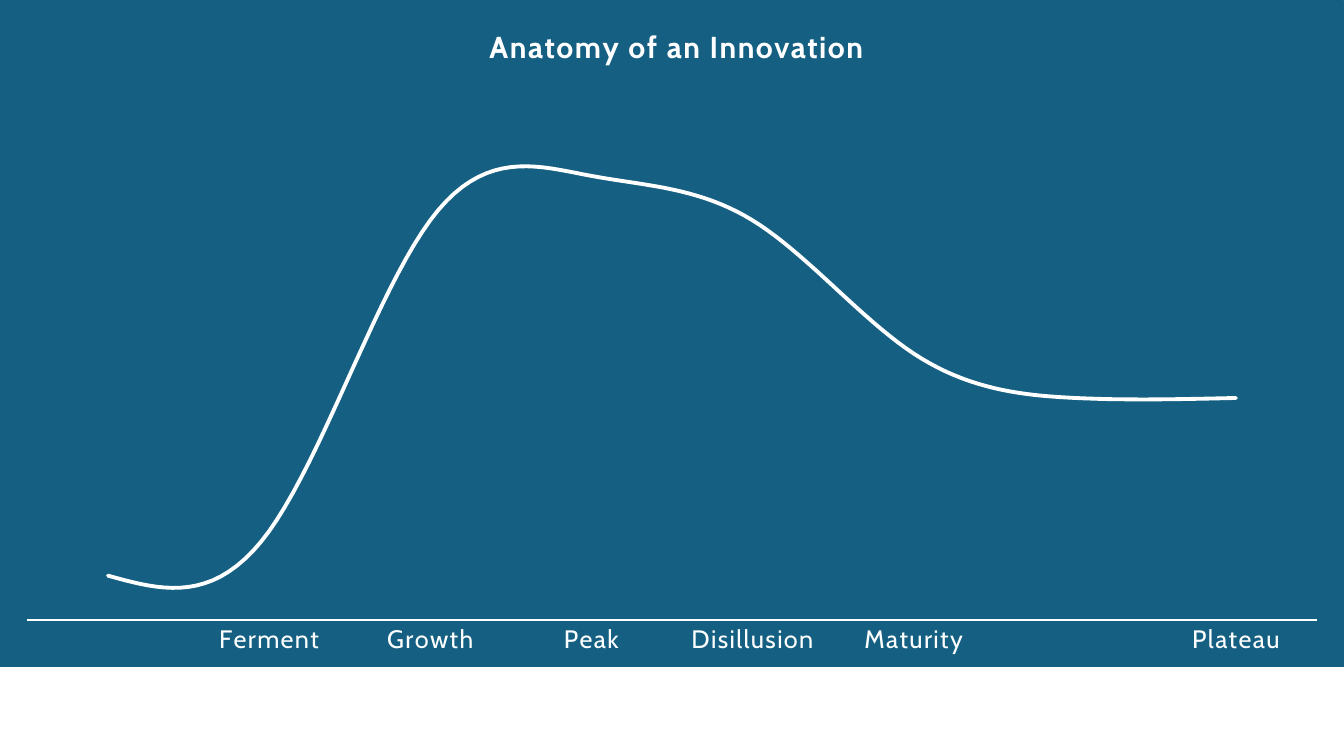
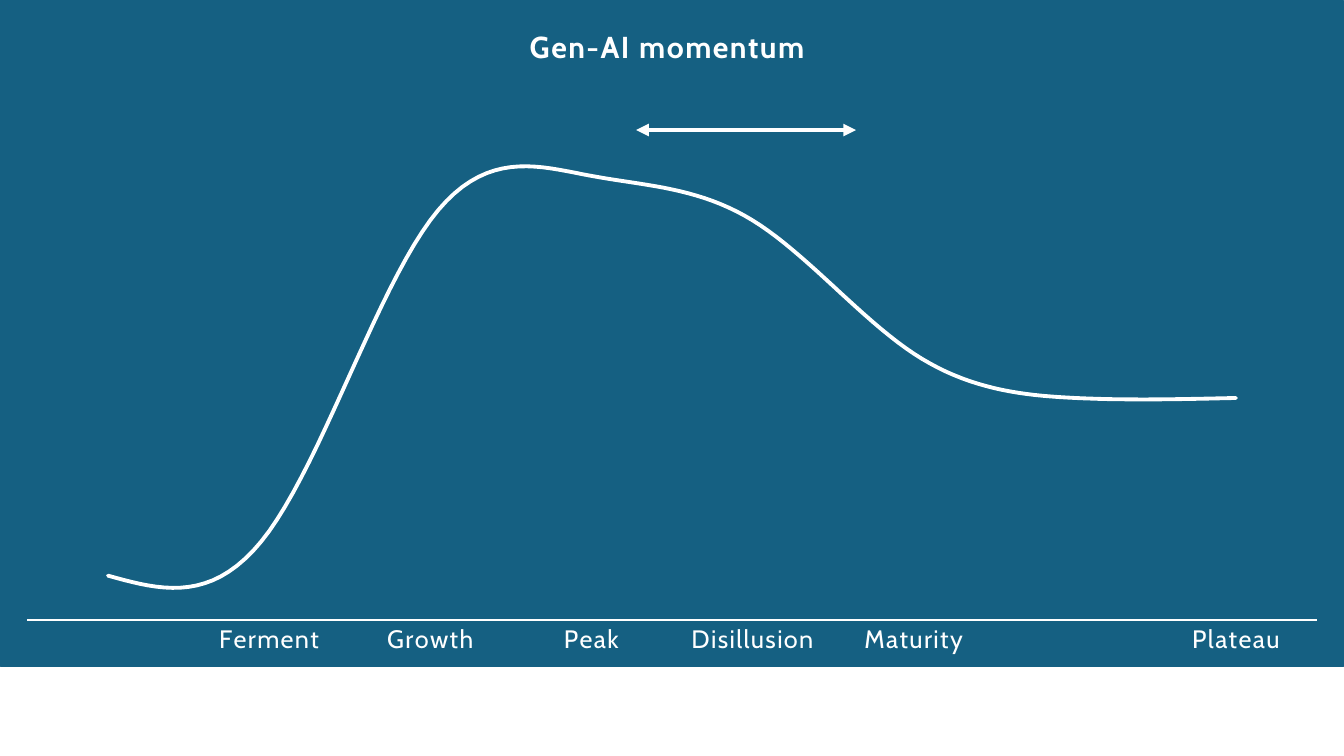
from lxml import etree
from pptx import Presentation
from pptx import util as u
from pptx.chart.data import CategoryChartData
from pptx.dml.color import RGBColor
from pptx.enum import chart as charts, shapes
from pptx.oxml import parse_xml
from pptx.oxml.ns import nsdecls, qn

# Shared style
FONT = "Cabin"
WHITE = "FFFFFF"
BLUE = "156082"
LETTER_SPACING = 100
WIDTH, CHART_HEIGHT = 13.33, 6.62

# Shared innovation curve
STAGES = ["", "Ferment", "Growth", "Peak", "Disillusion", "Maturity", "", "Plateau"]
LEVELS = [10, 20, 90, 100, 90, 60, 50, 50]


def color(value):
    return RGBColor.from_string(value)


def format_font(font, size, bold=False):
    font.name = FONT
    font.size = u.Pt(size)
    font.bold = bold
    font.color.rgb = color(WHITE)


def format_line(line, width):
    line.color.rgb = color(WHITE)
    line.width = u.Pt(width)


def set_layout(element, index, target="", **fractions):
    """Place a chart part by fractions of the chart area."""
    for old_layout in element.findall(qn("c:layout")):
        element.remove(old_layout)
    layout = etree.Element(qn("c:layout"))
    manual = etree.SubElement(layout, qn("c:manualLayout"))
    settings = {"layoutTarget": target} if target else {}
    settings.update(xMode="edge", yMode="edge", **fractions)
    for name, value in settings.items():
        etree.SubElement(manual, qn(f"c:{name}")).set("val", str(value))
    element.insert(index, layout)


def fill_chart_area(chart):
    space = chart._chartSpace
    solid = f'<a:solidFill><a:srgbClr val="{BLUE}"/></a:solidFill>'
    area = parse_xml(
        f'<c:spPr {nsdecls("c", "a")}>{solid}<a:ln w="9525">{solid}</a:ln></c:spPr>')
    space.find(qn("c:chart")).addnext(area)
    if space.find(qn("c:roundedCorners")) is None:
        corners = parse_xml(f'<c:roundedCorners {nsdecls("c")} val="0"/>')
        space.find(qn("c:date1904")).addnext(corners)


def add_chart_title(chart, title, left):
    chart.has_title = True
    run = chart.chart_title.text_frame.paragraphs[0].add_run()
    run.text = title
    format_font(run.font, 21.6, bold=True)
    run.font._element.set("spc", str(LETTER_SPACING))
    set_layout(chart.chart_title._element, 1, x=left, y=0.03)


def format_axes(chart):
    stage_axis = chart.category_axis
    stage_axis.major_tick_mark = charts.XL_TICK_MARK.NONE
    stage_axis.minor_tick_mark = charts.XL_TICK_MARK.NONE
    stage_axis.has_major_gridlines = False
    format_line(stage_axis.format.line, 1)
    labels = stage_axis.tick_labels
    format_font(labels.font, 18)
    labels.font._element.set("spc", str(LETTER_SPACING))

    level_axis = chart.value_axis
    level_axis.visible = False
    level_axis.has_major_gridlines = False
    level_axis.minimum_scale = 0
    level_axis.maximum_scale = 120


def add_curve_chart(slide, title, title_left):
    data = CategoryChartData()
    data.categories = STAGES
    data.add_series("Series 1", LEVELS)
    chart = slide.shapes.add_chart(
        charts.XL_CHART_TYPE.LINE, 0, 0,
        u.Inches(WIDTH), u.Inches(CHART_HEIGHT), data).chart
    chart.has_legend = False
    chart.font.name = FONT
    chart.font.size = u.Pt(18)
    fill_chart_area(chart)
    add_chart_title(chart, title, title_left)
    format_axes(chart)

    plot = chart.plots[0]
    plot.vary_by_categories = False
    curve = plot.series[0]
    curve.smooth = True
    curve.marker.style = charts.XL_MARKER_STYLE.NONE
    format_line(curve.format.line, 2.75)
    curve.format.line._ln.set("cap", "rnd")
    set_layout(chart._chartSpace.find(f'.//{qn("c:plotArea")}'), 0, "inner",
               x=0.02, y=0.13, w=0.96, h=0.8)


def add_double_arrow(slide, left, right, top):
    arrow = slide.shapes.add_connector(
        shapes.MSO_CONNECTOR.STRAIGHT,
        u.Inches(left), u.Inches(top), u.Inches(right), u.Inches(top))
    format_line(arrow.line, 3)
    line = arrow.line._ln
    for end in ("a:headEnd", "a:tailEnd"):
        etree.SubElement(line, qn(end)).set("type", "triangle")
    etree.SubElement(arrow._element.spPr, qn("a:effectLst"))


def main():
    presentation = Presentation()
    presentation.slide_width = u.Inches(WIDTH)
    presentation.slide_height = u.Inches(7.5)
    blank = presentation.slide_layouts[6]

    # Slide 1: the general curve
    anatomy = presentation.slides.add_slide(blank)
    add_curve_chart(anatomy, "Anatomy of an Innovation", 0.36)

    # Slide 2: the span of the current momentum
    momentum = presentation.slides.add_slide(blank)
    add_curve_chart(momentum, "Gen-AI momentum", 0.39)
    add_double_arrow(momentum, 6.31, 8.49, 1.29)

    presentation.save("out.pptx")


if __name__ == "__main__":
    main()
